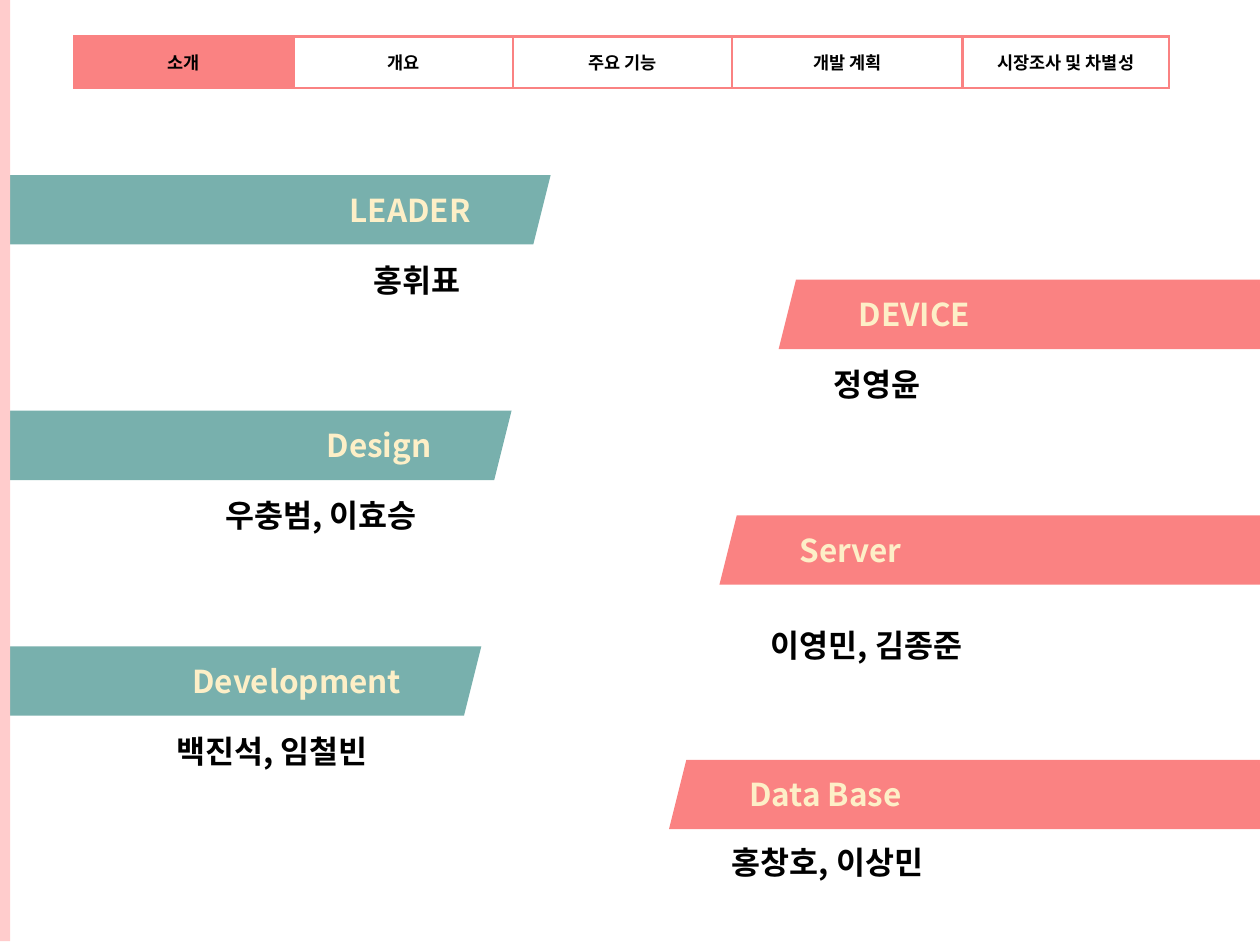
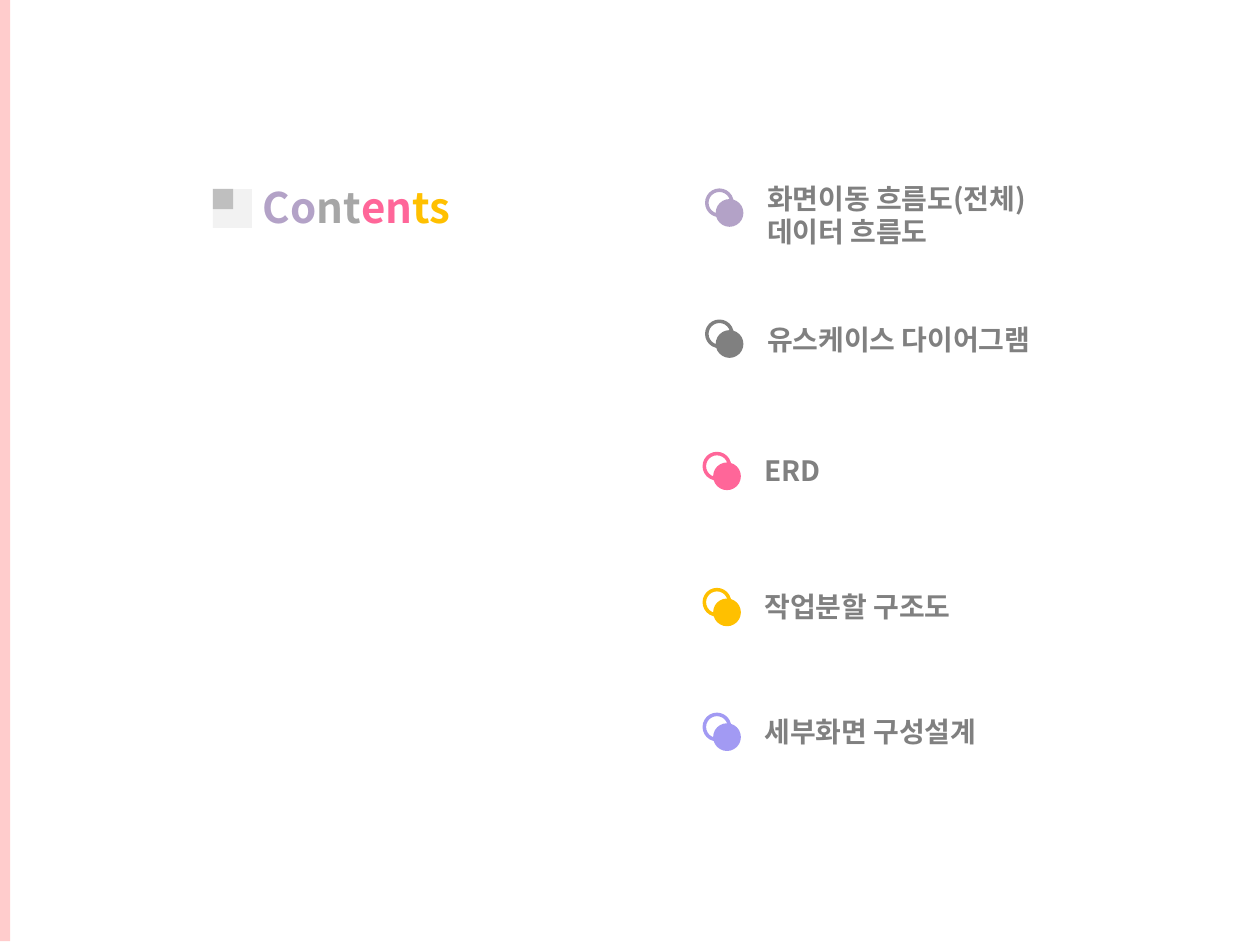
"""Build the team roles slide and the contents slide."""
import pptx
import pptx.util
import pptx.dml.color
import pptx.enum.shapes
import pptx.enum.text
import pptx.oxml

RGB = pptx.dml.color.RGBColor
CORAL = RGB(0xFA, 0x82, 0x82)
TEAL = RGB(0x78, 0xB0, 0xAD)
CREAM = RGB(0xFD, 0xEF, 0xC7)
BLUSH = RGB(0xFF, 0xCC, 0xCC)
BLACK = RGB(0, 0, 0)
GRAY = RGB(0x80, 0x80, 0x80)
ASH = RGB(0xA6, 0xA6, 0xA6)
SILVER = RGB(0xBF, 0xBF, 0xBF)
PALE = RGB(0xF2, 0xF2, 0xF2)
MAUVE = RGB(0xB3, 0xA2, 0xC7)
PINK = RGB(0xFF, 0x66, 0x99)
GOLD = RGB(0xFF, 0xC0, 0x00)
LILAC = RGB(0xA2, 0x9A, 0xF3)

FONT = "Noto Sans CJK KR"
PX = 9144
KIND = pptx.enum.shapes.MSO_SHAPE
ALIGN = pptx.enum.text.PP_ALIGN
MIDDLE = pptx.enum.text.MSO_ANCHOR.MIDDLE
NS = 'xmlns:a="http://schemas.openxmlformats.org/drawingml/2006/main"'


def style(frame, size, color, align=ALIGN.LEFT):
    for para in frame.paragraphs:
        para.alignment = align
        for run in para.runs:
            run.font.size = pptx.util.Pt(size)
            run.font.name = FONT
            run.font.bold = True
            run.font.color.rgb = color
            east = pptx.oxml.parse_xml(f'<a:ea {NS} typeface="{FONT}"/>')
            run.font._element.find(pptx.oxml.ns.qn("a:latin")).addnext(east)


def draw(slide, kind, box, fill=None, line=None):
    shape = slide.shapes.add_shape(kind, *[v * PX for v in box])
    shape.shadow.inherit = False
    if fill is None:
        shape.fill.background()
    else:
        shape.fill.solid()
        shape.fill.fore_color.rgb = fill
    if line is None:
        shape.line.fill.background()
    else:
        shape.line.color.rgb = line
        shape.line.width = pptx.util.Pt(2)
    return shape


deck = pptx.Presentation()
deck.slide_width = 1000 * PX
deck.slide_height = 750 * PX
team = deck.slides.add_slide(deck.slide_layouts[6])
index = deck.slides.add_slide(deck.slide_layouts[6])

tabs = ["소개", "개요", "주요 기능", "개발 계획", "시장조사 및 차별성", ""]
widths = [174, 174, 174, 183, 164, 210]
menu = team.shapes.add_table(
    1, len(tabs), 59 * PX, 29 * PX, sum(widths) * PX, 39 * PX).table
menu.first_row = False
menu.horz_banding = False
menu.rows[0].height = 39 * PX
for i, (tab, width) in enumerate(zip(tabs, widths)):
    menu.columns[i].width = width * PX
    cell = menu.cell(0, i)
    cell.text_frame.text = tab
    cell.vertical_anchor = MIDDLE
    style(cell.text_frame, 10, BLACK, ALIGN.CENTER)
    for side in "LRTB" if tab else "L":
        cell._tc.get_or_add_tcPr().append(pptx.oxml.parse_xml(
            f'<a:ln{side} {NS} w="19050"><a:solidFill>'
            f'<a:srgbClr val="{CORAL}"/></a:solidFill></a:ln{side}>'))
    if i == 0:
        cell.fill.solid()
        cell.fill.fore_color.rgb = CORAL
    else:
        cell.fill.background()

roles = [
    ("LEADER", -138, 139, TEAL, "홍휘표", 287, 202, 96),
    ("Design", -169, 326, TEAL, "우충범, 이효승", 169, 389, 187),
    ("Development", -193, 513, TEAL, "백진석, 임철빈", 130, 576, 187),
    ("DEVICE", 618, 222, CORAL, "정영윤", 652, 285, 96),
    ("Server", 571, 409, CORAL, "이영민, 김종준", 602, 492, 187),
    ("Data Base", 531, 603, CORAL, "홍창호, 이상민", 571, 664, 194),
]
for role, x, y, color, names, left, top, width in roles:
    bar = draw(team, KIND.PARALLELOGRAM, (x, y, 575, 55), color)
    bar.text_frame.text = role
    bar.text_frame.vertical_anchor = MIDDLE
    side = ALIGN.RIGHT if color == TEAL else ALIGN.LEFT
    style(bar.text_frame, 18, CREAM, side)
    label = team.shapes.add_textbox(left * PX, top * PX, width * PX, 40 * PX)
    label.text_frame.text = names
    label.text_frame.word_wrap = False
    style(label.text_frame, 18, BLACK)

topics = [
    ("화면이동 흐름도(전체)\n데이터 흐름도", 568, 158, 139, 366, 64, MAUVE),
    ("유스케이스 다이어그램", 568, 262, 251, 279, 37, GRAY),
    ("ERD", 566, 367, 355, 305, 37, PINK),
    ("작업분할 구조도", 566, 475, 463, 220, 37, GOLD),
    ("세부화면 구성설계", 566, 574, 562, 220, 37, LILAC),
]
for topic, x, y, top, width, height, color in topics:
    draw(index, KIND.OVAL, (x, y, 22, 22), color)
    draw(index, KIND.OVAL, (x - 7, y - 7, 20, 20), line=color)
    label = index.shapes.add_textbox(
        (x + 31) * PX, top * PX, width * PX, height * PX)
    label.text_frame.text = topic
    label.text_frame.word_wrap = True
    style(label.text_frame, 16, GRAY)

title = index.shapes.add_textbox(-217 * PX, 139 * PX, 1000 * PX, 50 * PX)
title.text_frame.word_wrap = True
parts = [("Co", MAUVE), ("nt", ASH), ("en", PINK), ("ts", GOLD)]
para = title.text_frame.paragraphs[0]
for part, color in parts:
    para.add_run().text = part
style(title.text_frame, 24, MAUVE, ALIGN.CENTER)
for run, (part, color) in zip(para.runs, parts):
    run.font.color.rgb = color
draw(index, KIND.RECTANGLE, (169, 150, 31, 31), PALE)
draw(index, KIND.RECTANGLE, (169, 150, 16, 16), SILVER)

for slide in deck.slides:
    draw(slide, KIND.RECTANGLE, (-8, -3, 16, 750), BLUSH)

deck.save("out.pptx")
